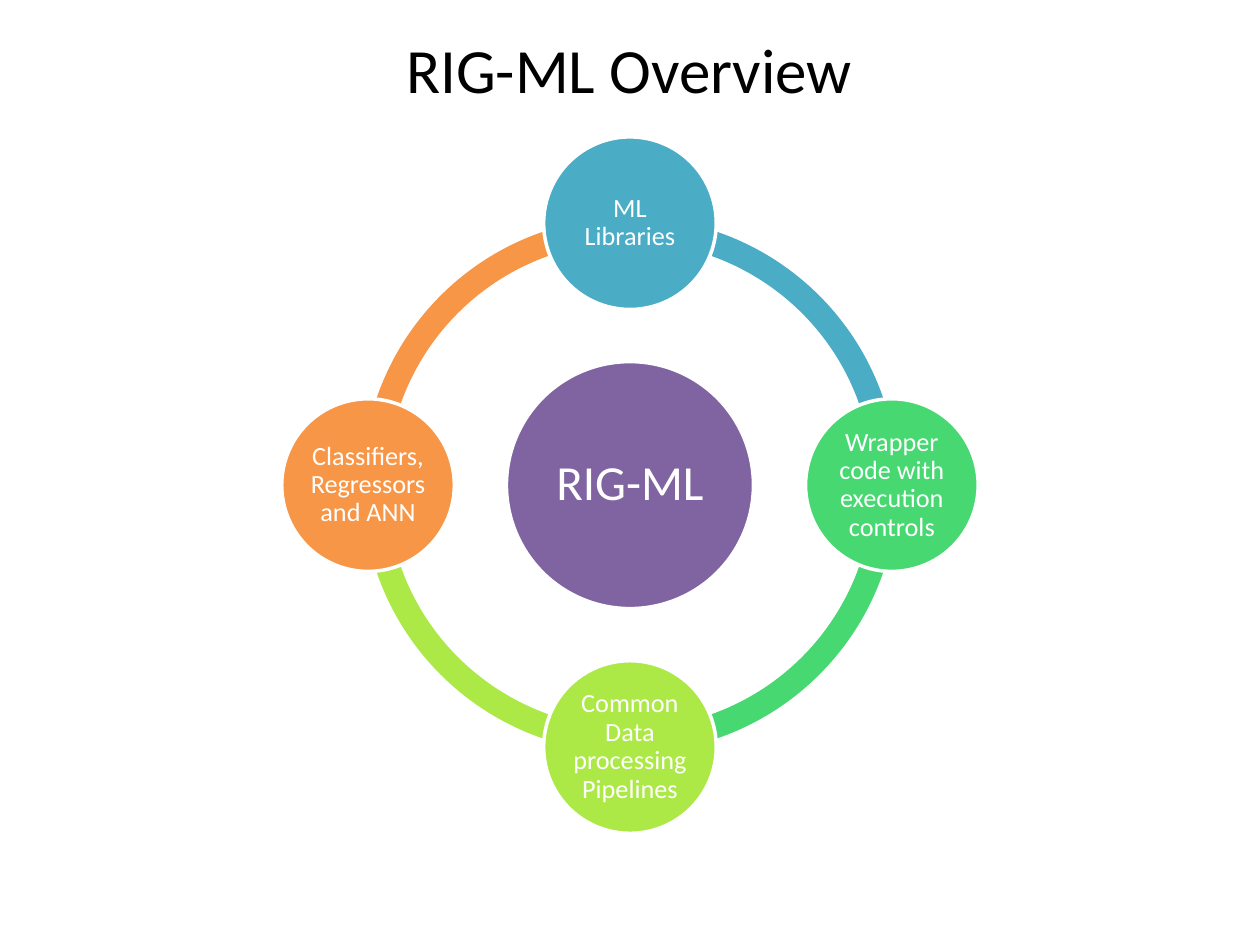
from dataclasses import dataclass
from math import cos, pi, sin

from pptx import Presentation
from pptx.dml.color import RGBColor
from pptx.enum.shapes import MSO_SHAPE as Preset
from pptx.enum.text import MSO_ANCHOR as Anchor, PP_ALIGN as Align
from pptx.util import Cm, Pt


@dataclass(frozen=True)
class Theme:
    font: str = "Calibri"
    title_size: int = 36
    hub_size: int = 28
    node_size: int = 15
    black: str = "000000"
    white: str = "FFFFFF"
    purple: str = "8064A2"
    blue: str = "4BACC6"
    green: str = "47D872"
    lime: str = "ACE946"
    orange: str = "F79646"


THEME = Theme()

# Cycle geometry in centimetres
CENTER_X, CENTER_Y = 12.7, 9.78
RING_DIAMETER = 10.8
ORBIT_RADIUS = 5.28
HUB_DIAMETER = 4.98
NODE_DIAMETER = 3.48
RING_THICKNESS = 0.046
FULL_TURN = 216  # 360 degrees in block arc adjustment units

# Clockwise from the top
NODES = [
    ("ML Libraries", THEME.blue),
    ("Wrapper code with execution controls", THEME.green),
    ("Common Data processing Pipelines", THEME.lime),
    ("Classifiers, Regressors and ANN", THEME.orange),
]


def write_text(shape, text, size, color):
    frame = shape.text_frame
    frame.text = text
    frame.word_wrap = True
    frame.vertical_anchor = Anchor.MIDDLE
    para = frame.paragraphs[0]
    para.alignment = Align.CENTER
    font = para.runs[0].font
    font.name, font.size = THEME.font, Pt(size)
    font.color.rgb = RGBColor.from_string(color)
    return frame


def add_title(page, text):
    title = page.shapes.title
    title.left, title.top = Cm(0.2), Cm(0.2)
    title.width, title.height = Cm(24.97), Cm(2.34)
    write_text(title, text, THEME.title_size, THEME.black)


def add_round(group, preset, x, y, diameter, color):
    """Add a filled shape in a square box centred on x, y."""
    shape = group.shapes.add_shape(
        preset, Cm(x - diameter / 2), Cm(y - diameter / 2), Cm(diameter), Cm(diameter))
    shape.shadow.inherit = False
    shape.fill.solid()
    shape.fill.fore_color.rgb = RGBColor.from_string(color)
    shape.line.fill.background()
    return shape


def add_arc(group, index, color):
    quarter = FULL_TURN / len(NODES)
    start = (index - 1) * quarter % FULL_TURN
    arc = add_round(group, Preset.BLOCK_ARC, CENTER_X, CENTER_Y, RING_DIAMETER, color)
    arc.adjustments[0] = start
    arc.adjustments[1] = (start + quarter) % FULL_TURN
    arc.adjustments[2] = RING_THICKNESS


def add_circle(group, x, y, diameter, color, text, size, inset):
    circle = add_round(group, Preset.OVAL, x, y, diameter, color)
    circle.line.color.rgb = RGBColor.from_string(THEME.white)
    circle.line.width = Pt(2)
    frame = write_text(circle, text, size, THEME.white)
    frame.margin_left = frame.margin_right = Cm(inset)
    frame.margin_top = frame.margin_bottom = Cm(inset)
    frame.paragraphs[0].line_spacing = 0.9


def add_cycle(page):
    group = page.shapes.add_group_shape()
    # Ring segments lie behind the circles
    for index, (_, color) in enumerate(NODES):
        add_arc(group, index, color)
    add_circle(group, CENTER_X, CENTER_Y, HUB_DIAMETER, THEME.purple,
               "RIG-ML", THEME.hub_size, 0.1)
    for index, (text, color) in enumerate(NODES):
        angle = 2 * pi * index / len(NODES)
        x = CENTER_X + ORBIT_RADIUS * sin(angle)
        y = CENTER_Y - ORBIT_RADIUS * cos(angle)
        add_circle(group, x, y, NODE_DIAMETER, color, text, THEME.node_size, 0.05)


def main():
    deck = Presentation()
    deck.slide_width, deck.slide_height = Cm(25.4), Cm(19.05)
    page = deck.slides.add_slide(deck.slide_layouts[5])
    add_cycle(page)
    add_title(page, "RIG-ML Overview")
    deck.save("out.pptx")


main()
